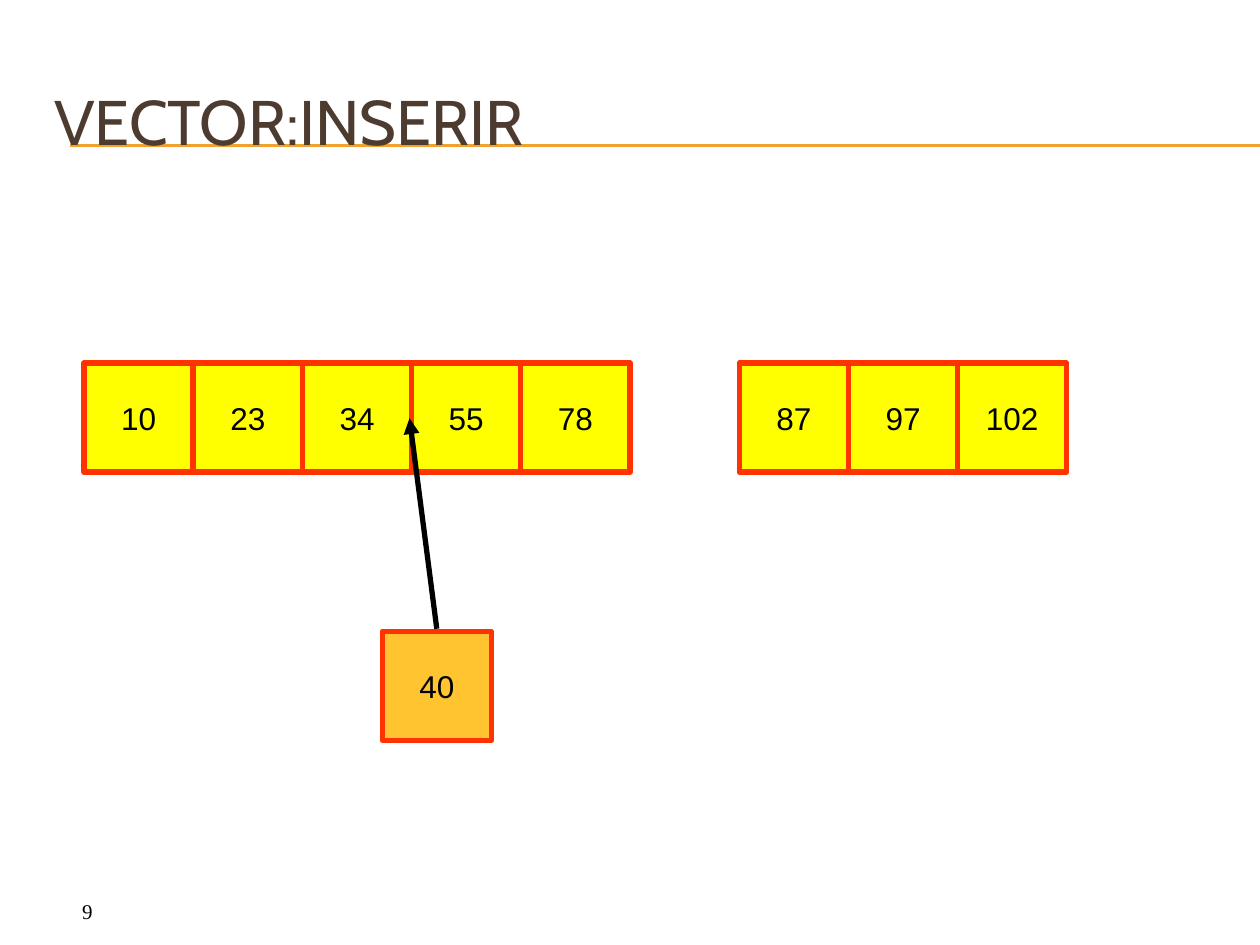
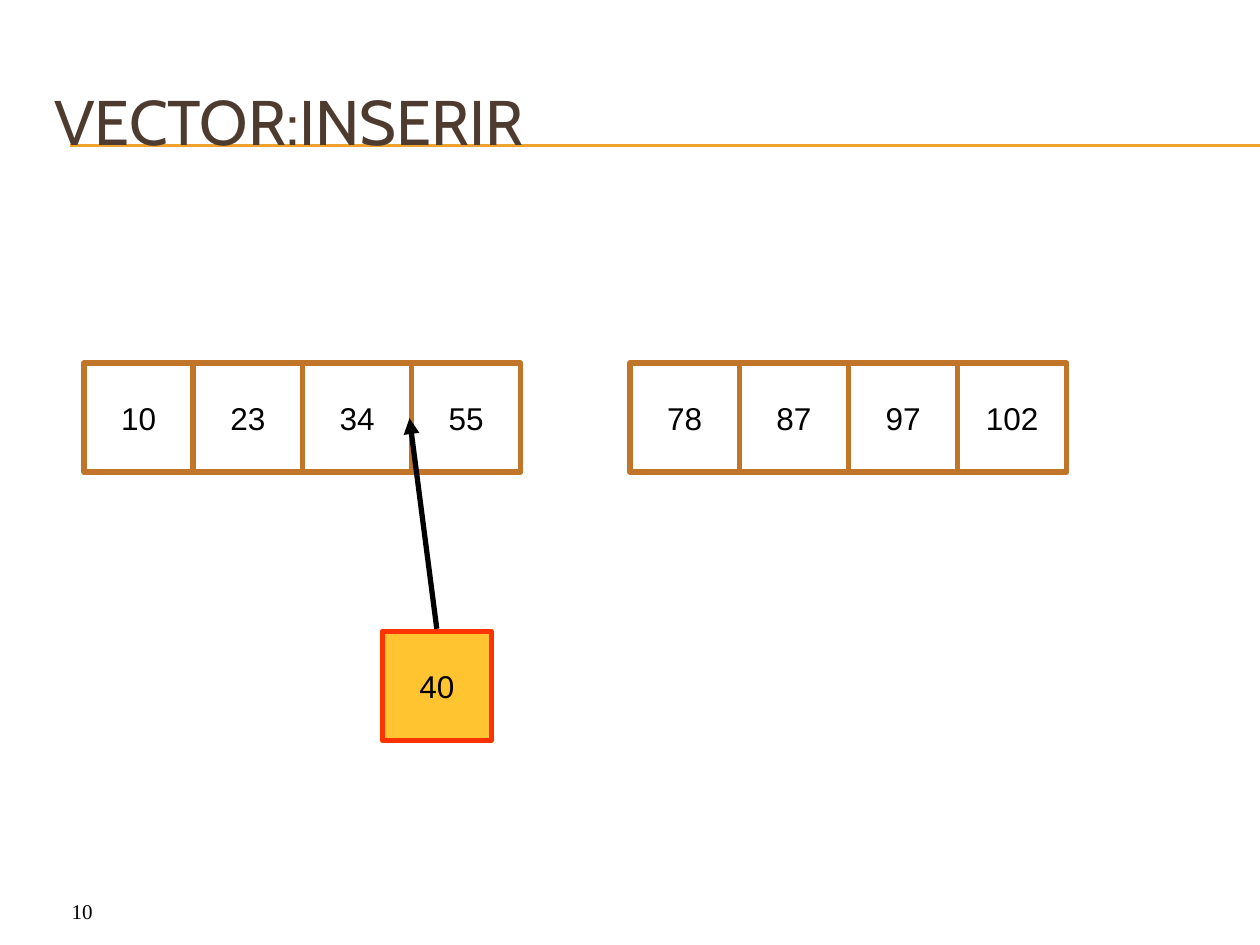
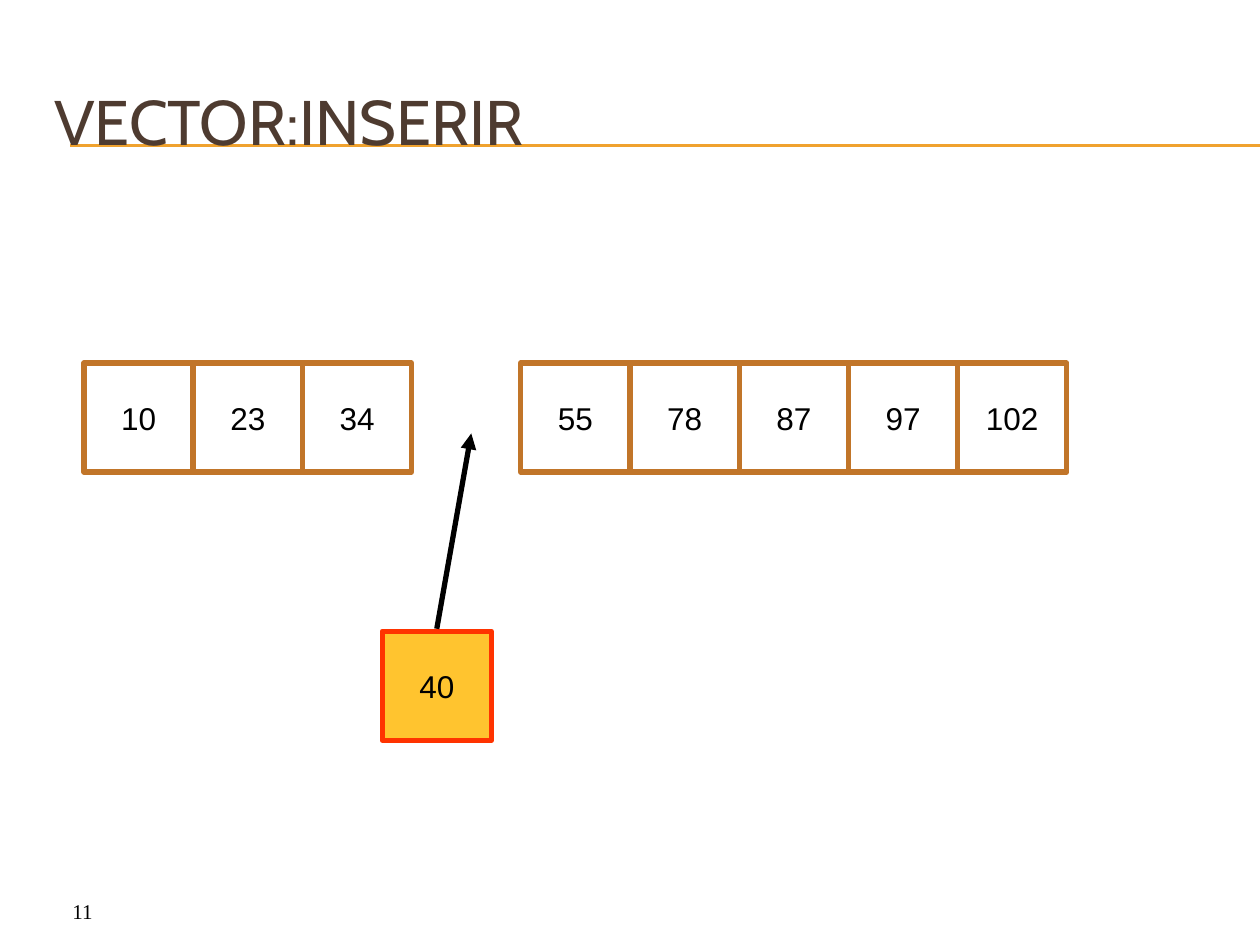
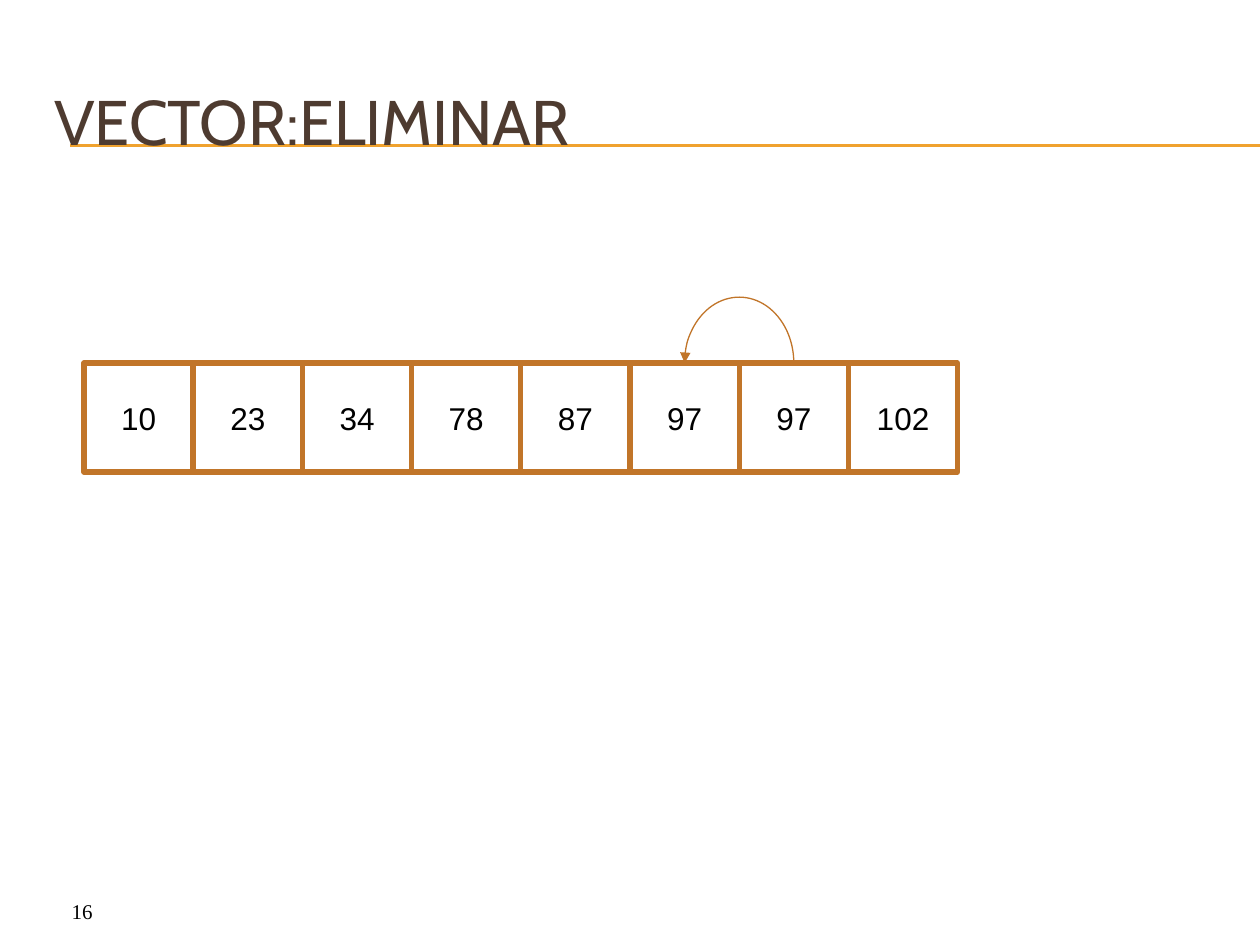
from lxml.etree import SubElement
from pptx import Presentation
from pptx.dml.color import RGBColor
from pptx.enum.shapes import MSO_CONNECTOR as Connector, MSO_SHAPE as Preset
from pptx.enum.text import MSO_ANCHOR as Anchor, PP_ALIGN as Align
from pptx.oxml.ns import qn
from pptx.util import Pt

COLORS = {
    "title": "4E3B30",
    "rule": "F0A22E",
    "text": "000000",
    "red": "FF3300",
    "yellow": "FFFF00",
    "amber": "FFC42F",
    "brown": "C17529",
    "white": "FFFFFF",
}
SLIDE_WIDTH, SLIDE_HEIGHT = 720, 540
CELL = 62.4
ROW_LEFT, ROW_TOP = 48, 207.4
NEW_LEFT, NEW_TOP = 218.4, 360.7
ARROW_START = (249.6, 359.3)
ARC_RISE = 37.6

# Title, slide number, row values (None leaves a gap), cell fill, cell line, arrow tip
INSERT_STEPS = [
    ("VECTOR:INSERIR", 9, [10, 23, 34, 55, 78, None, 87, 97, 102],
     "yellow", "red", (234, 239)),
    ("VECTOR:INSERIR", 10, [10, 23, 34, 55, None, 78, 87, 97, 102],
     "white", "brown", (234, 239)),
    ("VECTOR:INSERIR", 11, [10, 23, 34, None, 55, 78, 87, 97, 102],
     None, "brown", (269.3, 247.7)),
]


def color(name):
    return RGBColor.from_string(COLORS[name])


def set_text(shape, text, font_name, size, color_name="text", align=Align.LEFT):
    paragraph = shape.text_frame.paragraphs[0]
    paragraph.text = str(text)
    paragraph.alignment = align
    font = paragraph.font
    font.name, font.size = font_name, Pt(size)
    font.color.rgb = color(color_name)


def add_text(slide, box, anchor, *text_style):
    shape = slide.shapes.add_textbox(*map(Pt, box))
    shape.text_frame.word_wrap = True
    shape.text_frame.vertical_anchor = anchor
    set_text(shape, *text_style)


def style_line(shape, color_name, width):
    shape.line.color.rgb = color(color_name)
    shape.line.width = Pt(width)


def add_arrowhead(shape, end):
    """Put a triangle at the "headEnd" (start) or "tailEnd" (finish) of a line."""
    SubElement(shape.line._get_or_add_ln(), qn(f"a:{end}"), type="triangle")


def add_line(slide, start, finish, color_name, width):
    line = slide.shapes.add_connector(Connector.STRAIGHT, *map(Pt, start + finish))
    style_line(line, color_name, width)
    SubElement(line._element.spPr, qn("a:effectLst"))
    return line


def add_cell(slide, left, top, value, fill, line):
    cell = slide.shapes.add_shape(Preset.RECTANGLE, *map(Pt, (left, top, CELL, CELL)))
    cell.shadow.inherit = False
    if fill:
        cell.fill.solid()
        cell.fill.fore_color.rgb = color(fill)
    else:
        cell.fill.background()
    style_line(cell, line, 3)
    cell.text_frame.word_wrap = False
    cell.text_frame.vertical_anchor = Anchor.MIDDLE
    set_text(cell, value, "Arial", 18, "text", Align.CENTER)


def add_row(slide, values, fill, line):
    for slot, value in enumerate(values):
        if value is not None:
            add_cell(slide, ROW_LEFT + slot * CELL, ROW_TOP, value, fill, line)


def add_shift_arc(slide, target_slot):
    """Arch from the next cell's top centre back to the target cell's."""
    left = ROW_LEFT + (target_slot + 0.5) * CELL
    box = (left, ROW_TOP - ARC_RISE, CELL, 2 * ARC_RISE)
    arc = slide.shapes.add_shape(Preset.ARC, *map(Pt, box))
    arc.shadow.inherit = False
    arc.fill.background()
    arc.adjustments[0] = 108  # 180 degrees
    arc.adjustments[1] = 0
    style_line(arc, "brown", 0.75)
    add_arrowhead(arc, "headEnd")


def add_base_slide(presentation, title, number):
    slide = presentation.slides.add_slide(presentation.slide_layouts[6])
    for y in (82.8, 83.5):
        add_line(slide, (40.3, y), (SLIDE_WIDTH, y), "rule", 0.75)
    add_text(slide, (0, 509.8, 60, 19.4), Anchor.TOP,
             number, "Times New Roman", 12, "text", Align.RIGHT)
    add_text(slide, (24, 36, 684, 66), Anchor.MIDDLE, title, "Cabin", 36, "title")
    return slide


def main():
    presentation = Presentation()
    presentation.slide_width = Pt(SLIDE_WIDTH)
    presentation.slide_height = Pt(SLIDE_HEIGHT)

    for title, number, values, fill, line, tip in INSERT_STEPS:
        slide = add_base_slide(presentation, title, number)
        add_row(slide, values, fill, line)
        add_cell(slide, NEW_LEFT, NEW_TOP, 40, "amber", "red")
        arrow = add_line(slide, ARROW_START, tip, "text", 3)
        add_arrowhead(arrow, "tailEnd")

    slide = add_base_slide(presentation, "VECTOR:ELIMINAR", 16)
    add_row(slide, [10, 23, 34, 78, 87, 97, 97, 102], None, "brown")
    add_shift_arc(slide, target_slot=5)

    presentation.save("out.pptx")


if __name__ == "__main__":
    main()
